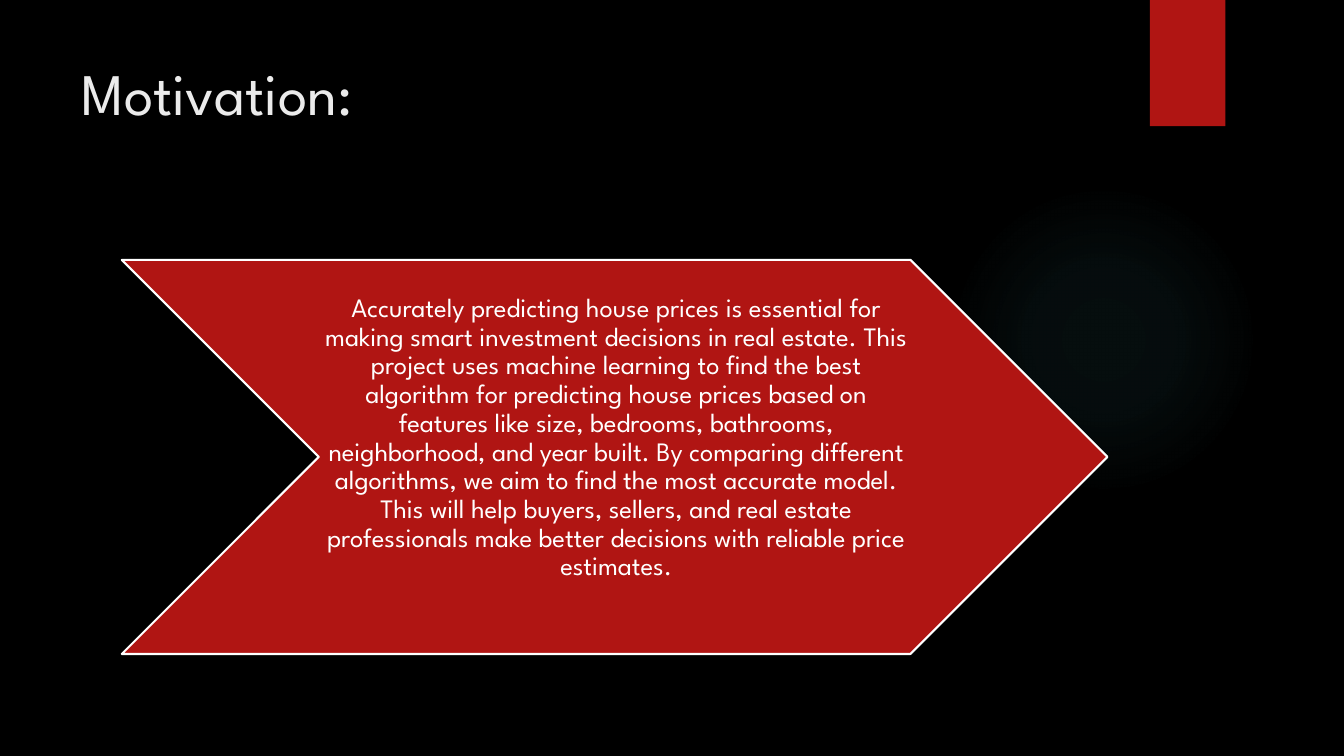
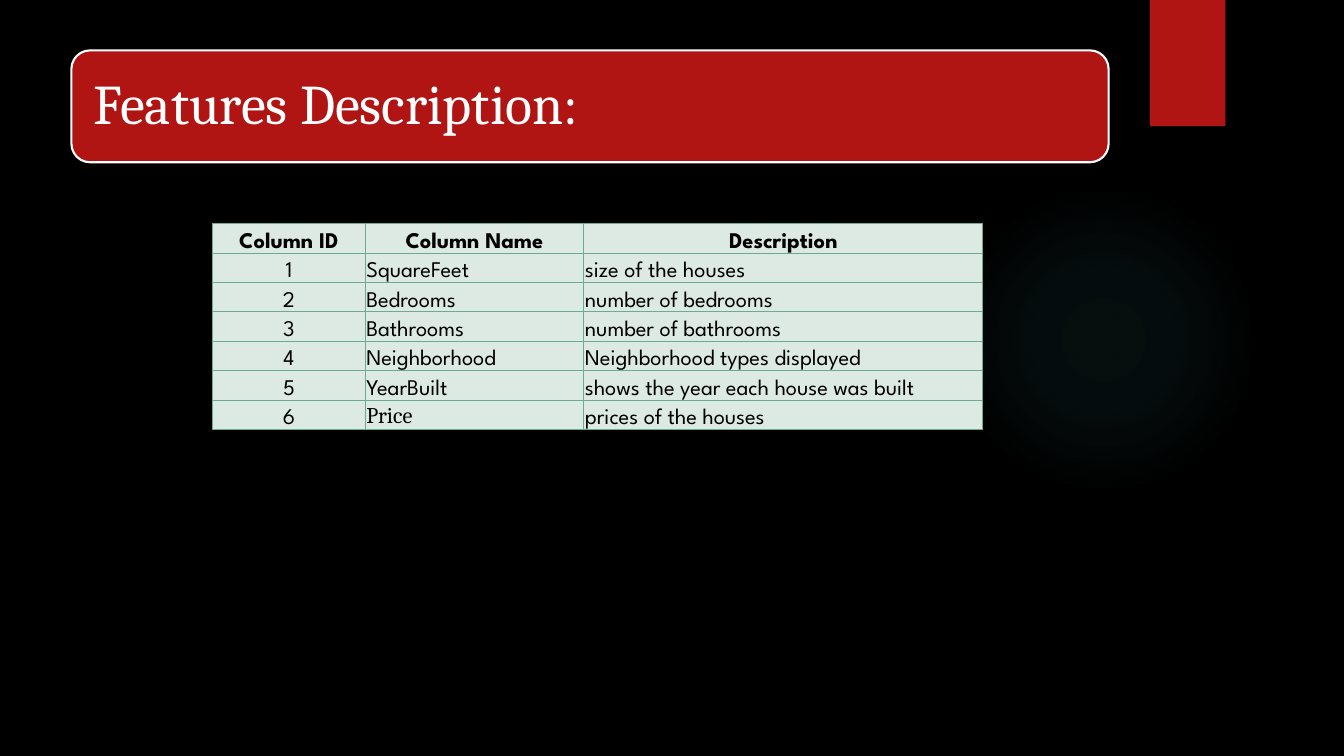
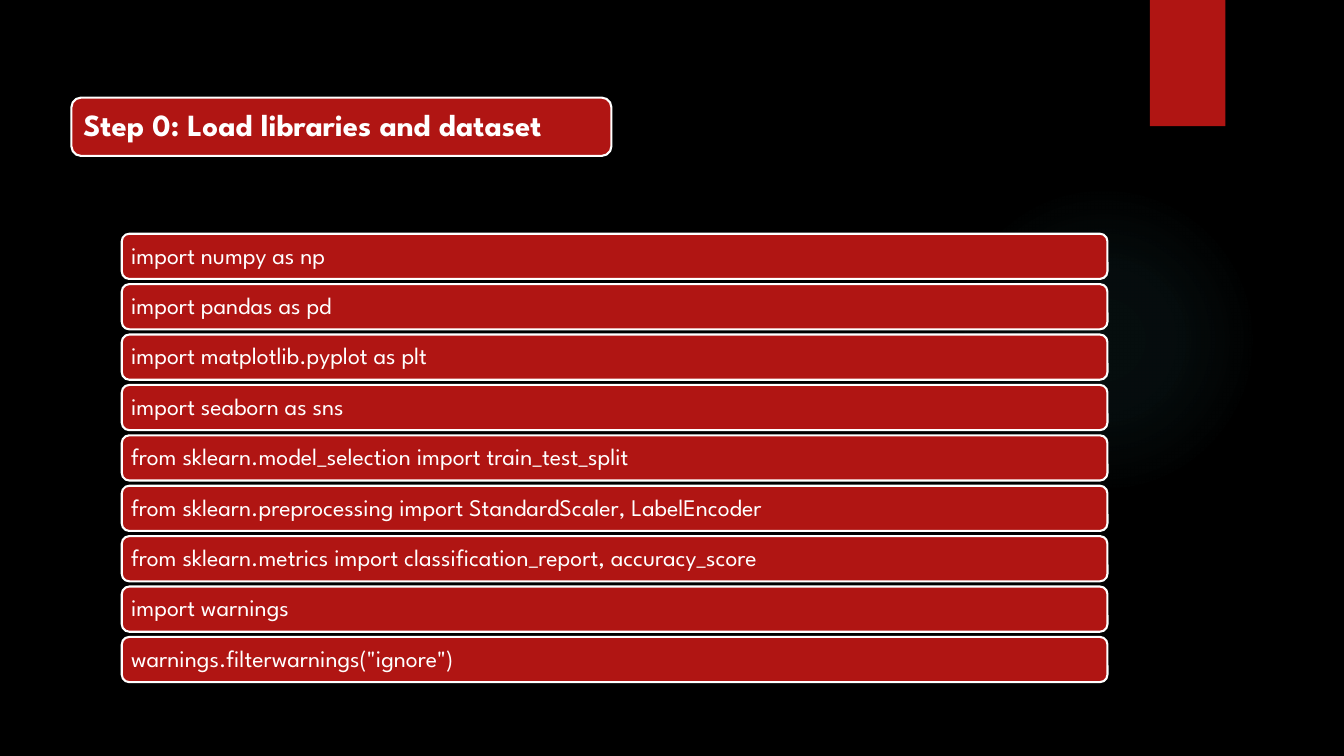
"""Build three slides on predicting house prices."""
import pptx
import pptx.dml.color
import pptx.enum.shapes
import pptx.enum.text
import pptx.oxml
import pptx.oxml.ns
import pptx.util

Cm = pptx.util.Cm
Pt = pptx.util.Pt
RGBColor = pptx.dml.color.RGBColor
SHAPE = pptx.enum.shapes.MSO_SHAPE
ANCHOR = pptx.enum.text.MSO_ANCHOR
ALIGN = pptx.enum.text.PP_ALIGN

BLACK = RGBColor(0x00, 0x00, 0x00)
WHITE = RGBColor(0xFF, 0xFF, 0xFF)
RED = RGBColor(0xB0, 0x15, 0x13)
TITLE_GREY = RGBColor(0xEB, 0xEB, 0xEB)
GLOW_TEAL = RGBColor(0x50, 0xB9, 0xC1)
CELL_MINT = RGBColor(0xDD, 0xEA, 0xE3)
BORDER_GREEN = RGBColor(0x6A, 0xAC, 0x90)

SANS = "League Spartan"
SERIF = "Cambria"
GLOW_STOPS = ((0, 7), (36, 6), (69, 0))

MOTIVATION = (
    "Accurately predicting house prices is essential for making smart investment "
    "decisions in real estate. This project uses machine learning to find the best "
    "algorithm for predicting house prices based on features like size, bedrooms, "
    "bathrooms, neighborhood, and year built. By comparing different algorithms, we "
    "aim to find the most accurate model. This will help buyers, sellers, and real "
    "estate professionals make better decisions with reliable price estimates."
)
FEATURES = (
    ("Column ID", "Column Name", "Description"),
    ("1", "SquareFeet", "size of the houses"),
    ("2", "Bedrooms", "number of bedrooms"),
    ("3", "Bathrooms", "number of bathrooms"),
    ("4", "Neighborhood", "Neighborhood types displayed"),
    ("5", "YearBuilt", "shows the year each house was built"),
    ("6", "Price", "prices of the houses"),
)
CODE_LINES = (
    "import numpy as np",
    "import pandas as pd",
    "import matplotlib.pyplot as plt",
    "import seaborn as sns",
    "from sklearn.model_selection import train_test_split",
    "from sklearn.preprocessing import StandardScaler, LabelEncoder",
    "from sklearn.metrics import classification_report, accuracy_score",
    "import warnings",
    'warnings.filterwarnings("ignore")',
)


class Deck:
    """Hold the presentation, its style and the current slide."""

    def __init__(self):
        self.presentation = pptx.Presentation()
        self.presentation.slide_width = Cm(33.87)
        self.presentation.slide_height = Cm(19.05)
        self.slide = None

    def new_slide(self):
        """Start a black slide with the glow and the red tab."""
        self.slide = self.presentation.slides.add_slide(self.presentation.slide_layouts[6])
        backdrop = self.slide.background.fill
        backdrop.solid()
        backdrop.fore_color.rgb = BLACK
        self.glow(23.9, 4.65, 7.82)
        self.block(SHAPE.RECTANGLE, 28.98, 0, 1.9, 3.18)

    def glow(self, left, top, size):
        """Add a faint circle that fades outwards."""
        halo = self.slide.shapes.add_shape(SHAPE.OVAL, Cm(left), Cm(top), Cm(size), Cm(size))
        halo.shadow.inherit = False
        halo.line.fill.background()
        stops = "".join(
            f'<a:gs pos="{position * 1000}"><a:srgbClr val="{GLOW_TEAL}">'
            f'<a:alpha val="{opacity * 1000}"/></a:srgbClr></a:gs>'
            for position, opacity in GLOW_STOPS
        )
        fade = pptx.oxml.parse_xml(
            f'<a:gradFill {pptx.oxml.ns.nsdecls("a")}><a:gsLst>{stops}</a:gsLst>'
            '<a:path path="circle"><a:fillToRect l="50000" t="50000" r="50000" b="50000"/>'
            "</a:path></a:gradFill>"
        )
        halo._element.spPr.insert(2, fade)

    def block(self, preset, left, top, width, height, outlined=False):
        """Add a red shape, with a white outline if asked."""
        block = self.slide.shapes.add_shape(preset, Cm(left), Cm(top), Cm(width), Cm(height))
        block.shadow.inherit = False
        block.fill.solid()
        block.fill.fore_color.rgb = RED
        if outlined:
            block.line.color.rgb = WHITE
            block.line.width = Pt(1.5)
        else:
            block.line.fill.background()
        return block

    def add_text(self, frame, text, size, font=SANS, color=WHITE, bold=False, align=ALIGN.LEFT):
        """Put one run into the first paragraph of a text frame."""
        paragraph = frame.paragraphs[0]
        paragraph.alignment = align
        run = paragraph.add_run()
        run.text = text
        run.font.size = Pt(size)
        run.font.name = font
        run.font.bold = bold
        run.font.color.rgb = color
        return paragraph

    def title(self, text):
        """Add a plain slide title."""
        frame = self.slide.shapes.add_textbox(Cm(1.8), Cm(1.27), Cm(26.14), Cm(3.89)).text_frame
        frame.word_wrap = True
        frame.margin_top = Cm(0.17)
        self.add_text(frame, text, 42, color=TITLE_GREY)

    def bar(self, text, left, top, width, height, inset, size, font=SANS, bold=False):
        """Add a rounded red bar with text on the left."""
        frame = self.block(SHAPE.ROUNDED_RECTANGLE, left, top, width, height, True).text_frame
        frame.margin_left = frame.margin_right = Cm(inset)
        frame.margin_top = frame.margin_bottom = Cm(inset)
        frame.vertical_anchor = ANCHOR.MIDDLE
        self.add_text(frame, text, size, font, bold=bold).line_spacing = 0.9

    def chevron(self, text, left, top, width, height):
        """Add a chevron with centred text."""
        frame = self.block(SHAPE.CHEVRON, left, top, width, height, True).text_frame
        frame.margin_left, frame.margin_right = Cm(0.08), 0
        frame.margin_top, frame.margin_bottom = Cm(0.03), Cm(0.98)
        frame.vertical_anchor = ANCHOR.MIDDLE
        self.add_text(frame, text, 19, align=ALIGN.CENTER).line_spacing = 0.9

    def table(self, rows, left, top, widths, row_height):
        """Add a bordered table whose first row is the header."""
        grid = self.slide.shapes.add_table(
            len(rows), len(widths), Cm(left), Cm(top), Cm(sum(widths)), Cm(row_height * len(rows))
        ).table
        for column, width in zip(grid.columns, widths):
            column.width = Cm(width)
        for row_index, row in enumerate(rows):
            grid.rows[row_index].height = Cm(row_height)
            for column_index, text in enumerate(row):
                header = row_index == 0
                self.cell(
                    grid.cell(row_index, column_index),
                    text,
                    SERIF if text == "Price" else SANS,
                    header,
                    ALIGN.CENTER if header or column_index == 0 else ALIGN.LEFT,
                )

    def cell(self, cell, text, font, bold, align):
        """Fill, border and label one table cell."""
        cell.fill.solid()
        cell.fill.fore_color.rgb = CELL_MINT
        cell.margin_left = cell.margin_right = cell.margin_top = Cm(0.03)
        cell.margin_bottom = 0
        cell.vertical_anchor = ANCHOR.BOTTOM
        self.add_text(cell.text_frame, text, 16, font, BLACK, bold, align)
        properties = cell._tc.get_or_add_tcPr()
        for position, side in enumerate("LRTB"):
            border = pptx.oxml.parse_xml(
                f'<a:ln{side} {pptx.oxml.ns.nsdecls("a")} w="{Pt(0.75)}"><a:solidFill>'
                f'<a:srgbClr val="{BORDER_GREEN}"/></a:solidFill></a:ln{side}>'
            )
            properties.insert(position, border)


def main():
    deck = Deck()

    deck.new_slide()
    deck.title("Motivation:")
    deck.chevron(MOTIVATION, 3.07, 6.55, 24.84, 9.93)

    deck.new_slide()
    deck.bar("Features Description:", 1.8, 1.27, 26.14, 2.82, 0.43, 40, font=SERIF)
    deck.table(FEATURES, 5.36, 5.64, (3.84, 5.51, 10.06), 0.74)

    deck.new_slide()
    for index, code in enumerate(CODE_LINES):
        deck.bar(code, 3.07, 5.89 + index * 1.27, 24.84, 1.14, 0.18, 17)
    deck.bar("Step 0: Load libraries and dataset", 1.8, 2.46, 13.61, 1.47, 0.23, 22, bold=True)

    deck.presentation.save("out.pptx")


if __name__ == "__main__":
    main()
